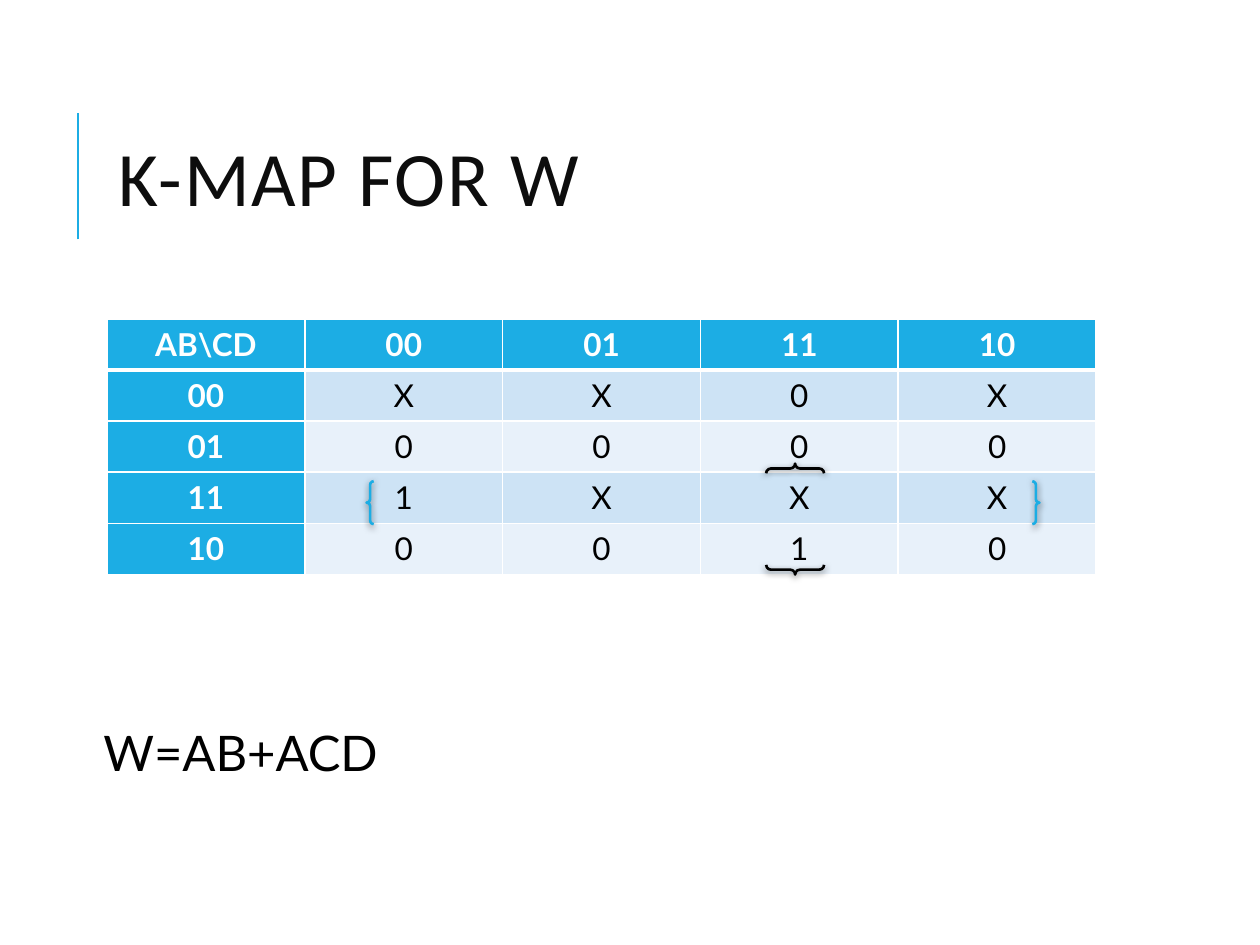
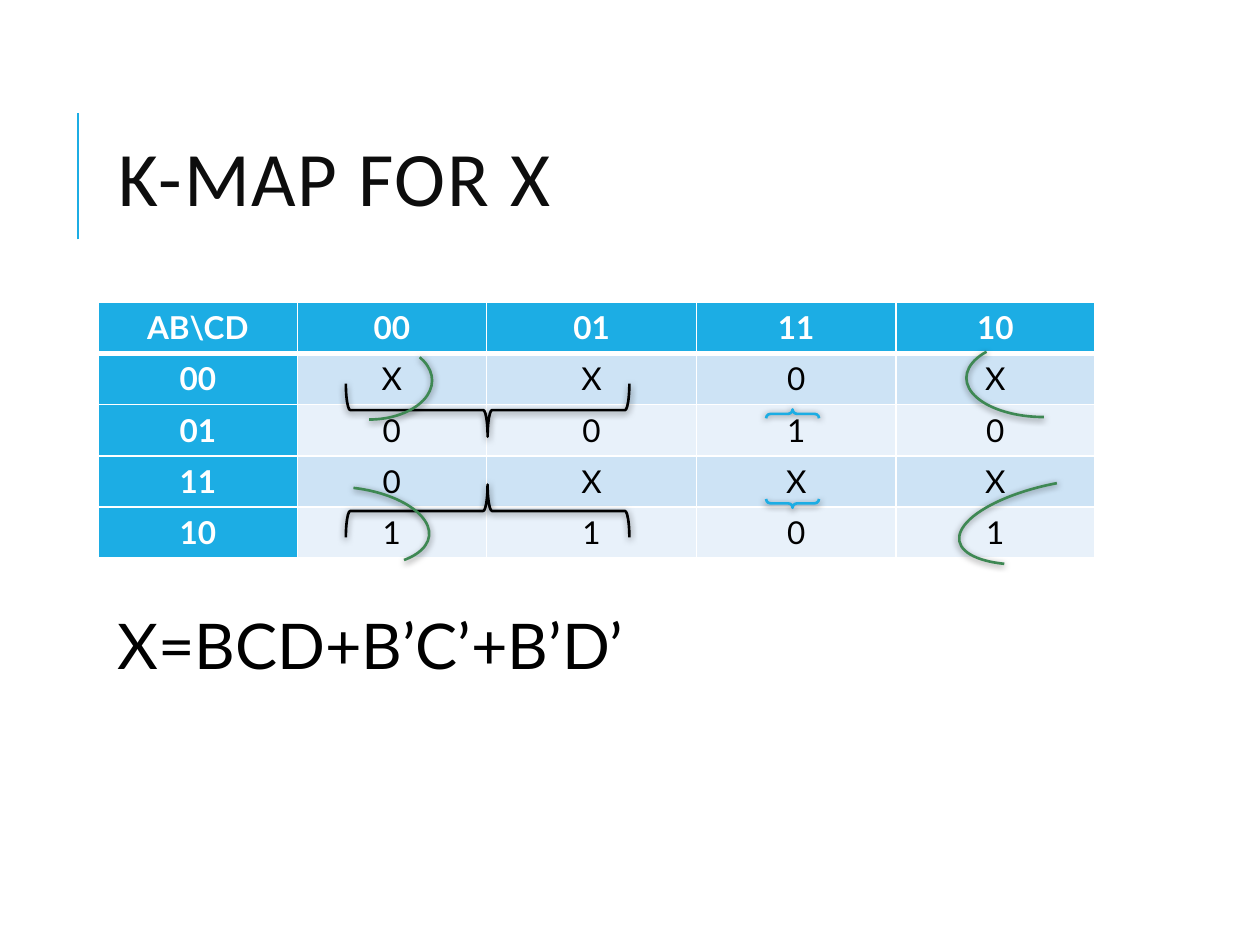
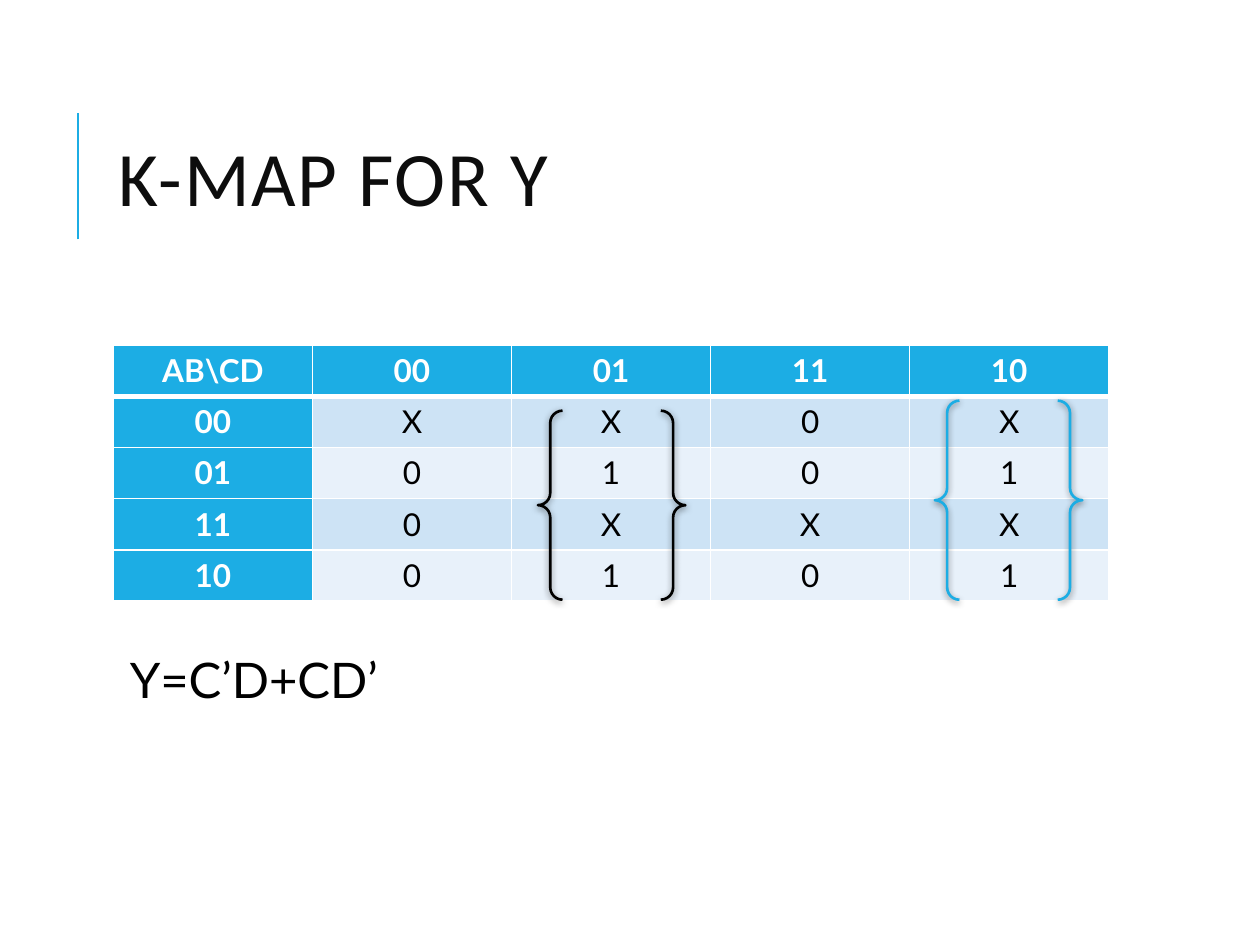
"""Build three Karnaugh map slides with their groupings and simplified equations."""
from lxml.etree import SubElement
from pptx import Presentation
from pptx.dml.color import RGBColor
from pptx.enum.shapes import MSO_CONNECTOR, MSO_SHAPE
from pptx.enum.text import MSO_ANCHOR, PP_ALIGN
from pptx.oxml.ns import qn
from pptx.util import Inches, Pt

BLUE, BLACK, WHITE, GREEN = "1CADE4", "000000", "FFFFFF", "3E8853"
TITLE_COLOR = "0D0D0D"
BANDS = ("CDE3F5", "E8F1FA")
TITLE_FONT, BODY_FONT = "Calibri", "Lato"
TITLE_BOX = (0.84, 0.64, 7.97, 1.64)
RULE = (0.62, 1.9, 0.62, 0.9)
TABLE_HEIGHT = 2.03
GRAY_CODE = ("00", "01", "11", "10")
PAIR, BRACE, ARC = MSO_SHAPE.DOUBLE_BRACE, MSO_SHAPE.RIGHT_BRACE, MSO_SHAPE.ARC
ARC_ANGLES = (162, 14.774)

MAPS = [
    {
        "title": "K-MAP FOR W",
        "cells": ("XX0X", "0000", "1XXX", "0010"),
        "table_at": (0.85, 2.53),
        "columns": [1.57] * 5,
        "side_inset": 0.05,
        "equation": ("W=AB+ACD", 28, (0.67, 5.74, 5.09, 1.53)),
        "groups": [
            (PAIR, (2.91, 3.82, 5.34, 0.34), BLUE, 0, ""),
            (PAIR, (5.87, 3.89, 0.88, 0.46), BLACK, 90, ""),
        ],
    },
    {
        "title": "K-MAP FOR X",
        "cells": ("XX0X", "0010", "0XXX", "1101"),
        "table_at": (0.78, 2.4),
        "columns": [1.58, 1.5, 1.67, 1.58, 1.58],
        "side_inset": 0.1,
        "equation": ("X=BCD+B’C’+B’D’", 36, (0.78, 4.83, 5.48, 0.95)),
        "groups": [
            (PAIR, (5.9, 3.43, 0.78, 0.42), BLUE, 90, ""),
            (BRACE, (3.66, 2.13, 0.42, 2.25), BLACK, 90, ""),
            (BRACE, (3.66, 2.93, 0.42, 2.25), BLACK, 270, ""),
            (ARC, (2.43, 2.71, 1, 0.62), GREEN, 0, "V"),
            (ARC, (7.6, 3.83, 1.69, 0.62), GREEN, 169.4, "V"),
            (ARC, (2.13, 3.87, 1.28, 0.62), GREEN, 186.6, "HV"),
            (ARC, (7.67, 2.69, 1.23, 0.62), GREEN, 0, "HV"),
        ],
    },
    {
        "title": "K-MAP FOR Y",
        "cells": ("XX0X", "0101", "0XXX", "0101"),
        "table_at": (0.9, 2.74),
        "columns": [1.58] * 5,
        "side_inset": 0.1,
        "equation": ("Y=C’D+CD’", 28, (0.88, 5.16, 5.92, 1.7)),
        "groups": [
            (PAIR, (4.27, 3.26, 1.17, 1.5), BLACK, 0, ""),
            (PAIR, (7.42, 3.18, 1.17, 1.58), BLUE, 0, ""),
        ],
    },
]


def color(value):
    return RGBColor.from_string(value)


def inches(values):
    return [Inches(value) for value in values]


def add_run(paragraph, text, size, font, fill, bold=False):
    run = paragraph.add_run()
    run.text = text
    run.font.size, run.font.name, run.font.bold = Pt(size), font, bold
    run.font.color.rgb = color(fill)
    return run


def style_line(line, fill):
    line.color.rgb = color(fill)
    line.width = Pt(1.5)


def add_title(slide, text):
    title = slide.shapes.title
    title.left, title.top, title.width, title.height = inches(TITLE_BOX)
    title.text_frame.vertical_anchor = MSO_ANCHOR.MIDDLE
    paragraph = title.text_frame.paragraphs[0]
    paragraph.alignment, paragraph.line_spacing = PP_ALIGN.LEFT, 0.8
    run = add_run(paragraph, text, 44, TITLE_FONT, TITLE_COLOR)
    run.font._element.set("spc", "100")
    rule = slide.shapes.add_connector(MSO_CONNECTOR.STRAIGHT, *inches(RULE))
    style_line(rule.line, BLUE)
    SubElement(rule._element.spPr, qn("a:effectLst"))


def add_border(cell, side, width):
    line = SubElement(cell._tc.get_or_add_tcPr(), qn(f"a:ln{side}"), w=str(Pt(width)))
    fill = SubElement(line, qn("a:solidFill"))
    SubElement(fill, qn("a:srgbClr"), val=WHITE)


def fill_cell(cell, text, row, column, side_inset):
    heading = row == 0 or column == 0
    thick_side = {0: "B", 1: "T"}.get(row)
    for side in "LRTB":
        add_border(cell, side, 3 if side == thick_side else 1)
    cell.fill.solid()
    cell.fill.fore_color.rgb = color(BLUE if heading else BANDS[(row - 1) % 2])
    cell.margin_left = cell.margin_right = Inches(side_inset)
    paragraph = cell.text_frame.paragraphs[0]
    paragraph.alignment = PP_ALIGN.CENTER
    add_run(paragraph, text, 18, BODY_FONT, WHITE if heading else BLACK, heading)


def add_map(slide, content):
    rows = [("AB\\CD", *GRAY_CODE)]
    rows += [(code, *values) for code, values in zip(GRAY_CODE, content["cells"])]
    widths = content["columns"]
    box = inches((*content["table_at"], sum(widths), TABLE_HEIGHT))
    table = slide.shapes.add_table(len(rows), len(widths), *box).table
    table.first_col = True
    for column, width in zip(table.columns, widths):
        column.width = Inches(width)
    for r, values in enumerate(rows):
        for c, text in enumerate(values):
            fill_cell(table.cell(r, c), text, r, c, content["side_inset"])


def add_equation(slide, text, size, box):
    frame = slide.shapes.add_textbox(*inches(box)).text_frame
    frame.word_wrap = True
    frame.margin_left = frame.margin_right = Inches(0.05)
    paragraph = frame.paragraphs[0]
    paragraph.line_spacing = 0.9
    paragraph.space_before, paragraph.space_after = Pt(12), Pt(2)
    paragraph._p.get_or_add_pPr().set("marL", str(Inches(0.1)))
    add_run(paragraph, text, size, BODY_FONT, BLACK)


def add_group(slide, kind, box, fill, rotation, flips):
    shape = slide.shapes.add_shape(kind, *inches(box))
    shape.fill.background()
    style_line(shape.line, fill)
    shape.rotation = rotation
    for axis in flips:
        shape._element.spPr.xfrm.set(f"flip{axis}", "1")
    if kind == ARC:
        shape.adjustments[0], shape.adjustments[1] = ARC_ANGLES
    shape.shadow.inherit = False
    effects = shape._element.spPr.find(qn("a:effectLst"))
    shadow = SubElement(effects, qn("a:outerShdw"), blurRad=str(Pt(4)),
                        dist=str(Pt(1)), dir="5400000", rotWithShape="0")
    tint = SubElement(shadow, qn("a:srgbClr"), val=BLACK)
    SubElement(tint, qn("a:alpha"), val="50000")


presentation = Presentation()
presentation.slide_width, presentation.slide_height = Inches(10), Inches(7.5)
title_only = presentation.slide_layouts[5]
for content in MAPS:
    slide = presentation.slides.add_slide(title_only)
    add_title(slide, content["title"])
    add_map(slide, content)
    add_equation(slide, *content["equation"])
    for group in content["groups"]:
        add_group(slide, *group)
presentation.save("out.pptx")
